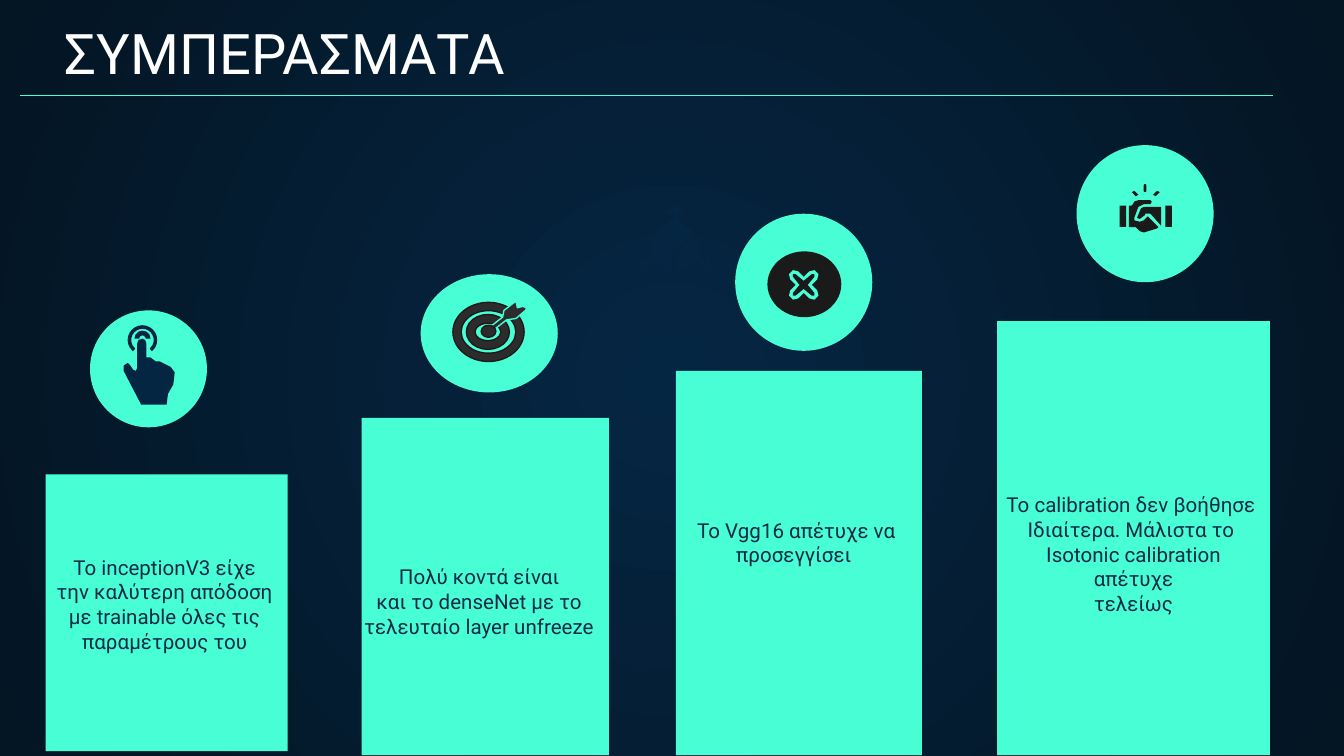
from lxml.etree import SubElement as Sub
from pptx import Presentation
from pptx.dml.color import RGBColor as Rgb
from pptx.enum.shapes import MSO_CONNECTOR as Conn, MSO_SHAPE as Kind
from pptx.enum.text import MSO_ANCHOR as Anchor, MSO_AUTO_SIZE as Fit, PP_ALIGN as Align
from pptx.oxml.ns import qn
from pptx.util import Inches, Pt

HUES = {"mint": "48FFD5", "navy": "052643", "night": "041523", "ink": "0E2A47",
        "black": "1A1A1A", "coal": "2C2C2C", "white": "FFFFFF"}
FONT = "Roboto"
UNIT = Inches(0.01)


def hue(name):
    return Rgb.from_string(HUES[name])


def paint(shape, fill, line=None):
    shape.shadow.inherit = False
    shape.fill.solid()
    shape.fill.fore_color.rgb = hue(fill)
    if line:
        shape.line.color.rgb = hue(line)
        shape.line.width = Pt(0.75)
    else:
        shape.line.fill.background()
    return shape


def form(slide, kind, box, fill, line=None):
    shape = slide.shapes.add_shape(kind, *[Inches(v) for v in box])
    return paint(shape, fill, line)


def part(slide, kind, spot, box, fill, line=None, adjust=()):
    x, y, w, h = [v / 100 for v in box]
    shape = form(slide, kind, (spot[0] + x, spot[1] + y, w, h), fill, line)
    for i, value in enumerate(adjust):
        shape.adjustments[i] = value


def outline(slide, spot, points, fill, line=None):
    path = slide.shapes.build_freeform(*points[0], scale=UNIT)
    path.add_line_segments(points[1:], close=True)
    paint(path.convert_to_shape(Inches(spot[0]), Inches(spot[1])), fill, line)


def mirror(points, span):
    return [(span - x, y) for x, y in points]


def write(shape, paras, size, color):
    frame = shape.text_frame
    frame.word_wrap = True
    frame.auto_size = Fit.NONE
    frame.vertical_anchor = Anchor.BOTTOM
    frame.margin_left = frame.margin_right = Inches(0.1)
    frame.margin_top = frame.margin_bottom = Inches(0.1)
    for i, lines in enumerate(paras):
        para = frame.add_paragraph() if i else frame.paragraphs[0]
        para.alignment = Align.CENTER
        for j, line in enumerate(lines.split("\n")):
            if j:
                para.add_line_break()
            run = para.add_run()
            run.text = line
            run.font.name = FONT
            run.font.size = Pt(size)
            run.font.color.rgb = hue(color)


def touch(slide, spot):
    part(slide, Kind.BLOCK_ARC, spot, (28, 11, 22, 22), "navy", adjust=(78, 30, 0.12))
    part(slide, Kind.BLOCK_ARC, spot, (33, 15, 12, 12), "navy", adjust=(108, 0, 0.3))
    hand = [(35, 25), (36, 22), (39, 21), (41, 22), (42, 25), (42, 35), (45, 35),
            (49, 38), (52, 38), (56, 40), (60, 42), (63, 46), (62, 55), (58, 62),
            (57, 70), (38, 70), (25, 45), (25, 41), (28, 39), (30, 41), (32, 44),
            (34, 45), (35, 43)]
    outline(slide, spot, hand, "navy")


def target(slide, spot):
    for box, ring in (((24, 21, 53, 44), 0.14), ((34, 30, 32, 26), 0.25)):
        part(slide, Kind.DONUT, spot, box, "coal", "black", (ring,))
    dart = [(71, 20), (72, 25), (76, 24), (79, 25), (78, 27), (71, 33), (64, 34),
            (55, 41), (52, 39), (61, 32), (62, 27)]
    outline(slide, spot, dart, "coal", "mint")
    part(slide, Kind.OVAL, spot, (45, 38, 11, 9), "coal", "black")


def cross(slide, spot):
    part(slide, Kind.OVAL, spot, (24, 28, 55, 49), "black")
    wide = [(0, -6), (4, -10), (8, -11), (11, -8), (10, -4)]
    thin = [(0, -3), (6, -8), (8, -8), (8, -6)]
    for arm, fill in ((wide, "mint"), (thin, "black")):
        points = []
        for _ in range(4):
            points += [(51 + x, 53 + y) for x, y in arm]
            arm = [(-y, x) for x, y in arm]
        outline(slide, spot, points, fill)


def shake(slide, spot):
    part(slide, Kind.ROUNDED_RECTANGLE, spot, (50, 29, 2, 6), "black", adjust=(0.5,))
    for left in (32, 66):
        part(slide, Kind.RECTANGLE, spot, (left, 45, 5, 16), "black")
    spark = [(41, 35), (43, 34), (46, 37), (44, 38)]
    thumb = [(50, 46), (48, 47), (45, 54), (47, 55), (51, 52), (51, 51), (55, 51),
             (63, 60), (63, 46)]
    palm = [(46, 41), (43, 42), (42, 44), (41, 45), (39, 45), (39, 61), (44, 61),
            (47, 64), (50, 65), (60, 62), (61, 61), (53, 53), (50, 56), (47, 57),
            (43, 56), (43, 54), (46, 46), (50, 44), (55, 44), (56, 42), (55, 41)]
    for points in (spark, mirror(spark, 103), thumb, palm):
        outline(slide, spot, points, "black")


def arrows(slide, spot):
    side = [(43, 24), (28, 36), (28, 52), (41, 41), (47, 46), (44, 46), (44, 49),
            (52, 49), (52, 40), (49, 40), (49, 44), (43, 38)]
    top = [(26, 0), (20, 6), (22, 8), (25, 6), (25, 11), (11, 22), (26, 34), (41, 22),
           (28, 11), (28, 6), (30, 8), (32, 6)]
    for points in (side, mirror(side, 52), top):
        outline(slide, spot, points, "navy")


def column(slide, box, disc, icon, note, paras):
    x, y = box[:2]
    form(slide, Kind.RECTANGLE, box, "mint")
    dx, dy, w, h = disc
    spot = (x + dx, y + dy)
    form(slide, Kind.OVAL, (*spot, w, h), "mint")
    icon(slide, spot)
    dx, dy, h = note
    text = slide.shapes.add_textbox(Inches(x + dx), Inches(y + dy), Inches(2.27), Inches(h))
    write(text, paras, 11, "ink")


def header(slide, box, text):
    title = slide.shapes.title
    title.left, title.top, title.width, title.height = [Inches(v) for v in box]
    write(title, [text], 30, "white")
    x, y = box[0] + 0.03, box[1] + 0.63
    rule = slide.shapes.add_connector(
        Conn.STRAIGHT, Inches(x), Inches(y), Inches(x + 9.32), Inches(y))
    rule.line.color.rgb = hue("mint")
    rule.line.width = Pt(0.75)
    Sub(rule._element.spPr, qn("a:effectLst"))


def backdrop(slide):
    fill = slide.background.fill
    fill.gradient()
    for stop, name, at in zip(fill.gradient_stops, ("navy", "night"), (0, 1)):
        stop.color.rgb = hue(name)
        stop.position = at
    grad = slide.element.find(".//" + qn("a:gradFill"))
    grad.remove(grad.find(qn("a:lin")))
    glow = Sub(grad, qn("a:path"), path="circle")
    Sub(glow, qn("a:fillToRect"), l="50000", t="50000", r="50000", b="50000")


COLUMNS = [
    ((0.34, 3.53, 1.8, 2.06), (0.33, -1.22, 0.87, 0.87), touch, (-0.23, 1.22, 0.21),
     ["Το inceptionV3 είχε \nτην καλύτερη απόδοση \nμε trainable όλες τις \n"
      "παραμέτρους του "]),
    ((2.69, 3.11, 1.84, 2.51), (0.44, -1.07, 1.02, 0.88), target, (-0.24, 0.91, 0.83),
     ["Πολύ κοντά είναι \nκαι το denseNet με το \nτελευταίο layer unfreeze "]),
    ((5.03, 2.76, 1.83, 2.86), (0.44, -1.17, 1.02, 1.02), cross, (-0.22, 0.73, 0.83),
     ["Το Vgg16 απέτυχε να ", "προσεγγίσει  "]),
    ((7.42, 2.39, 2.03, 3.23), (0.59, -1.31, 1.02, 1.02), shake, (-0.12, 1.03, 1.26),
     ["Το calibration δεν βοήθησε ", "Ιδιαίτερα. Μάλιστα το ", "Isotonic calibration",
      " απέτυχε ", "τελείως"]),
]


def main():
    deck = Presentation()
    deck.slide_width = Inches(10)
    deck.slide_height = deck.slide_width * 9 // 16
    slide = deck.slides.add_slide(deck.slide_layouts[5])
    backdrop(slide)
    header(slide, (0.12, 0.08, 4, 0.66), "ΣΥΜΠΕΡΑΣΜΑΤΑ")
    arrows(slide, (4.76, 1.52))
    for item in COLUMNS:
        column(slide, *item)
    deck.save("out.pptx")


if __name__ == "__main__":
    main()
